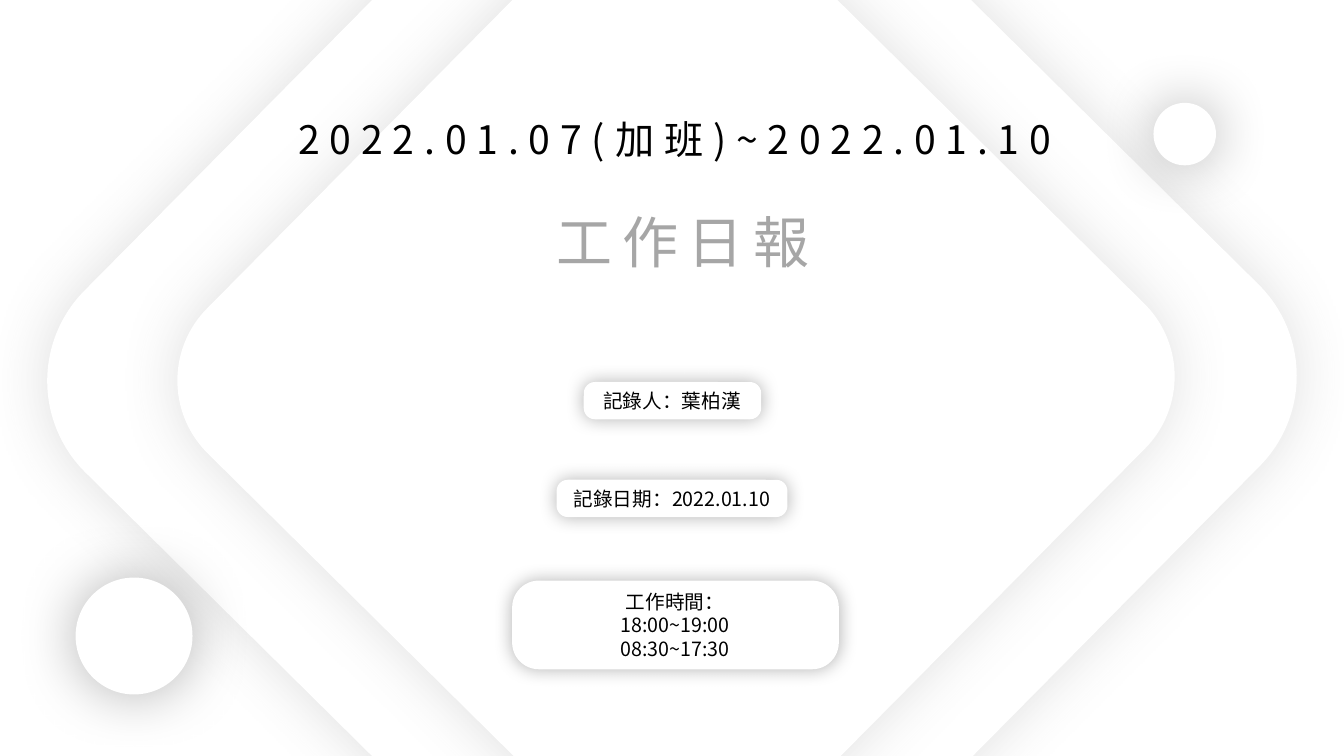
from lxml.etree import SubElement
from pptx import Presentation
from pptx.dml.color import RGBColor
from pptx.enum.shapes import MSO_SHAPE
from pptx.enum.text import MSO_AUTO_SIZE, PP_ALIGN
from pptx.oxml.ns import qn
from pptx.util import Inches, Pt

WHITE = RGBColor(0xFF, 0xFF, 0xFF)
BLACK = RGBColor(0x00, 0x00, 0x00)
GRAY = RGBColor(0xA6, 0xA6, 0xA6)
SHADOW_GRAY = RGBColor(0x59, 0x59, 0x59)
FONT = "Noto Sans CJK SC"


def add_glow(shape, color, opacity, blur):
    """Give a shape a soft, centred shadow; opacity in percent, blur in points."""
    shape.shadow.inherit = False
    effects = shape._element.spPr.find(qn("a:effectLst"))
    shadow = SubElement(effects, qn("a:outerShdw"), blurRad=str(Pt(blur)),
                        dist="0", dir="0", algn="ctr", rotWithShape="0")
    tint = SubElement(shadow, qn("a:srgbClr"), val=str(color))
    SubElement(tint, qn("a:alpha"), val=str(opacity * 1000))


def add_white_shape(shapes, kind, left, top, width, height, corner=None):
    """Add a white preset shape without an outline."""
    shape = shapes.add_shape(kind, Inches(left), Inches(top), Inches(width), Inches(height))
    shape.fill.solid()
    shape.fill.fore_color.rgb = WHITE
    shape.line.fill.background()
    if corner is not None:
        shape.adjustments[0] = corner
    return shape


def add_diamond(page, left, top, size):
    """Add a large rounded square turned on its corner."""
    diamond = add_white_shape(page.shapes, MSO_SHAPE.ROUNDED_RECTANGLE,
                              left, top, size, size, 0.134)
    diamond.rotation = 44.7
    add_glow(diamond, SHADOW_GRAY, 19, 43)


def add_circle(page, left, top, size):
    """Add a white floating circle."""
    circle = add_white_shape(page.shapes, MSO_SHAPE.OVAL, left, top, size, size)
    add_glow(circle, BLACK, 30, 43)


def add_text(shapes, lines, left, top, width, height, size, color=BLACK, spacing=0):
    """Add centred lines of text; letter spacing in points."""
    box = shapes.add_textbox(Inches(left), Inches(top), Inches(width), Inches(height))
    frame = box.text_frame
    frame.word_wrap = True
    frame.auto_size = MSO_AUTO_SIZE.SHAPE_TO_FIT_TEXT
    frame.text = "\n".join(lines)
    for para in frame.paragraphs:
        para.alignment = PP_ALIGN.CENTER
        para.font.size = Pt(size)
        para.font.name = FONT
        para.font.color.rgb = color
        properties = para._p.pPr.find(qn("a:defRPr"))
        SubElement(properties, qn("a:ea"), typeface=FONT)
        if spacing:
            properties.set("spc", str(spacing * 100))


def add_label(page, lines, plate, text_area):
    """Add a group of a rounded plate and the text on it."""
    group = page.shapes.add_group_shape()
    shape = add_white_shape(group.shapes, MSO_SHAPE.ROUNDED_RECTANGLE, *plate, 0.302)
    add_glow(shape, BLACK, 30, 13)
    add_text(group.shapes, lines, *text_area, 14)


def main():
    """Build the cover slide of the work report."""
    deck = Presentation()
    deck.slide_width, deck.slide_height = Inches(13.33), Inches(7.5)
    page = deck.slides.add_slide(deck.slide_layouts[6])

    add_diamond(page, 1.91, -1, 9.51)
    add_diamond(page, 2.91, -0.04, 7.59)
    add_text(page.shapes, ["2022.01.07(加班)~2022.01.10"],
             2.66, 1.09, 8.07, 0.57, 28, spacing=7)
    add_text(page.shapes, ["工作日報"], 4.4, 2.01, 4.75, 0.77, 40, GRAY, 7)
    add_circle(page, 0.75, 5.73, 1.16)
    add_circle(page, 11.44, 1.02, 0.62)

    add_label(page, ["記錄人：葉柏漢"],
              (5.79, 3.79, 1.76, 0.37), (5.62, 3.81, 2.09, 0.34))
    add_label(page, ["記錄日期：2022.01.10"],
              (5.52, 4.76, 2.29, 0.37), (5.46, 4.78, 2.41, 0.34))
    add_label(page, ["工作時間：", "18:00~19:00", "08:30~17:30"],
              (5.08, 5.76, 3.24, 0.88), (4.99, 5.8, 3.41, 0.81))

    deck.save("out.pptx")


if __name__ == "__main__":
    main()
